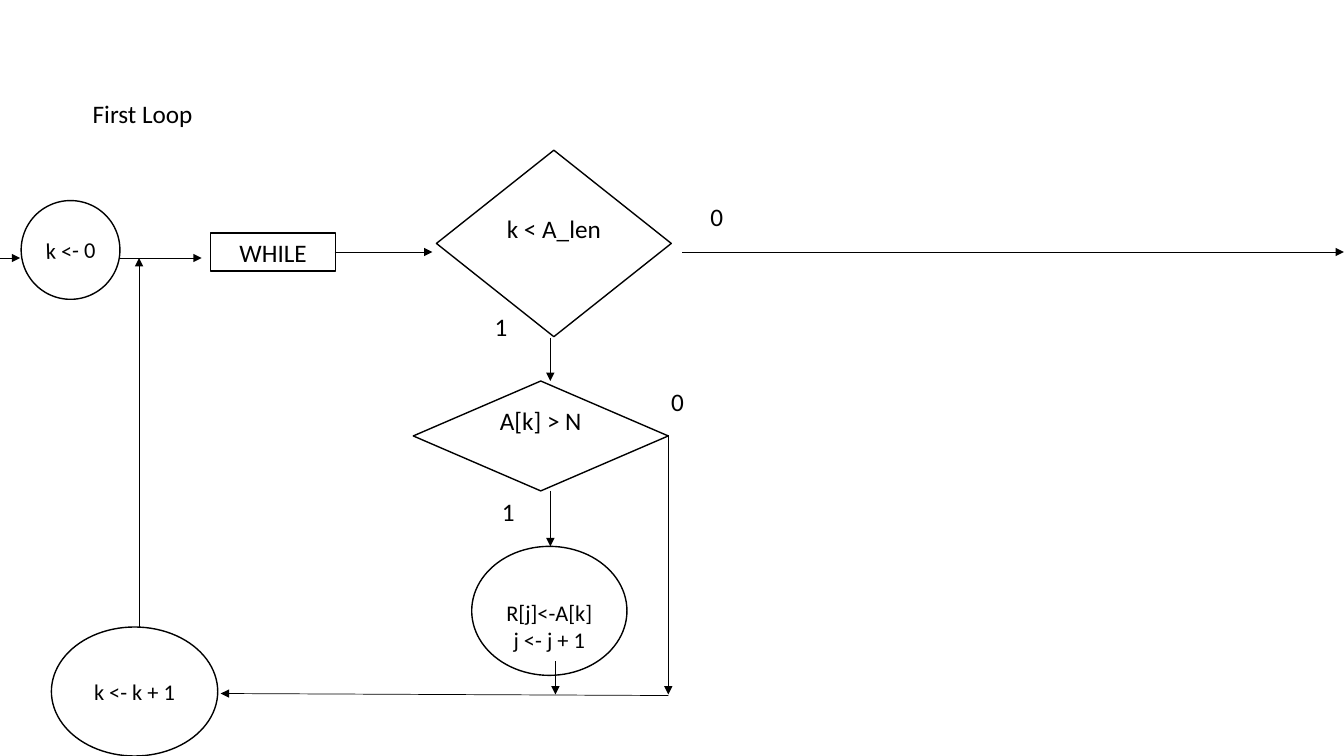
from lxml import etree
from pptx import Presentation
from pptx.dml.color import RGBColor
from pptx.enum import shapes, text
from pptx.oxml.ns import qn
from pptx.util import Inches, Pt

COLORS = {"ink": "000000", "paper": "FFFFFF"}
INK = RGBColor.from_string(COLORS["ink"])
PAPER = RGBColor.from_string(COLORS["paper"])
FONT = "Calibri"
CELL = Inches(0.1)
COLUMNS, ROWS = 133.33, 75

deck = Presentation()
deck.slide_width = round(COLUMNS * CELL)
deck.slide_height = ROWS * CELL
flowchart = deck.slides.add_slide(deck.slide_layouts[6])


def cells(*counts):
    return [round(count * CELL) for count in counts]


def write(holder, words, size, align):
    frame = holder.text_frame
    frame.text = words
    for line in frame.paragraphs:
        line.alignment = align
        for run in line.runs:
            run.font.name = FONT
            run.font.size = Pt(size)
            run.font.color.rgb = INK
    return frame


heading = flowchart.shapes.add_textbox(*cells(9.2, 4, 115, 14.5))
heading_frame = write(heading, "First Loop", 18, text.PP_ALIGN.LEFT)
heading_frame.word_wrap = True
heading_frame.vertical_anchor = text.MSO_ANCHOR.MIDDLE
heading_frame.margin_left = heading_frame.margin_right = 0
heading_frame.margin_top = heading_frame.margin_bottom = 0

BOX = shapes.MSO_SHAPE.RECTANGLE
TEST = shapes.MSO_SHAPE.FLOWCHART_DECISION
ACTION = shapes.MSO_SHAPE.OVAL
steps = [
    (BOX, "WHILE", 18, (20.9, 23.1, 12.4, 3.8), 0, 0, 0),
    (TEST, "k < A_len", 18, (43.3, 14.9, 23.3, 18.5), 0, 3, 0),
    (TEST, "A[k] > N", 18, (41, 37.8, 25.3, 10.9), 0, 3, 0),
    (ACTION, "R[j]<-A[k]\nj <- j + 1", 16, (46.8, 54.2, 15.4, 12.8), 3, 0, 0),
    (ACTION, "k <- k + 1", 16, (5.1, 62.2, 16.5, 12.8), 0, 0, 0),
    (ACTION, "k <- 0", 16, (2.1, 19.9, 9.8, 9.8), 0, 0, 358),
]
for kind, words, size, place, push_down, push_up, turn in steps:
    step = flowchart.shapes.add_shape(kind, *cells(*place))
    step.shadow.inherit = False
    step.rotation = turn
    step.fill.solid()
    step.fill.fore_color.rgb = PAPER
    step.line.color.rgb = INK
    step.line.width = Pt(1)
    step_frame = write(step, words, size, text.PP_ALIGN.CENTER)
    step_frame.word_wrap = False
    step_frame.vertical_anchor = text.MSO_ANCHOR.MIDDLE
    step_frame.margin_top, step_frame.margin_bottom = cells(0.5 + push_down, 0.5 + push_up)

branches = [("0", 69.5, 19.5), ("1", 48.1, 30.4), ("0", 65.6, 37.8), ("1", 48.8, 48.7)]
for answer, left, top in branches:
    branch = flowchart.shapes.add_textbox(*cells(left, top, 2.6, 4))
    write(branch, answer, 18, text.PP_ALIGN.LEFT).word_wrap = True

entry_row, test_row, return_row = 25.6, 25, 68.9
back_column, body_column, skip_column = 13.8, 54.6, 66.3
arrows = [
    (-0.3, entry_row, 2, entry_row),
    (11.8, entry_row, 20, entry_row),
    (33.2, test_row, 42.9, test_row),
    (67.7, test_row, COLUMNS, test_row),
    (body_column, 33.5, body_column, 37.8),
    (body_column, 48.7, body_column, 54.2),
    (55.1, 65.6, 55.1, return_row),
    (skip_column, 43.2, skip_column, return_row),
    (skip_column, 69, 21.9, 68.8),
    (back_column, 62.2, back_column, entry_row),
]
for ends in arrows:
    arrow = flowchart.shapes.add_connector(shapes.MSO_CONNECTOR.STRAIGHT, *cells(*ends))
    arrow.line.color.rgb = INK
    arrow.line.width = Pt(0.5)
    etree.SubElement(arrow.line._get_or_add_ln(), qn("a:tailEnd"), type="triangle")
    etree.SubElement(arrow._element.spPr, qn("a:effectLst"))

deck.save("out.pptx")
